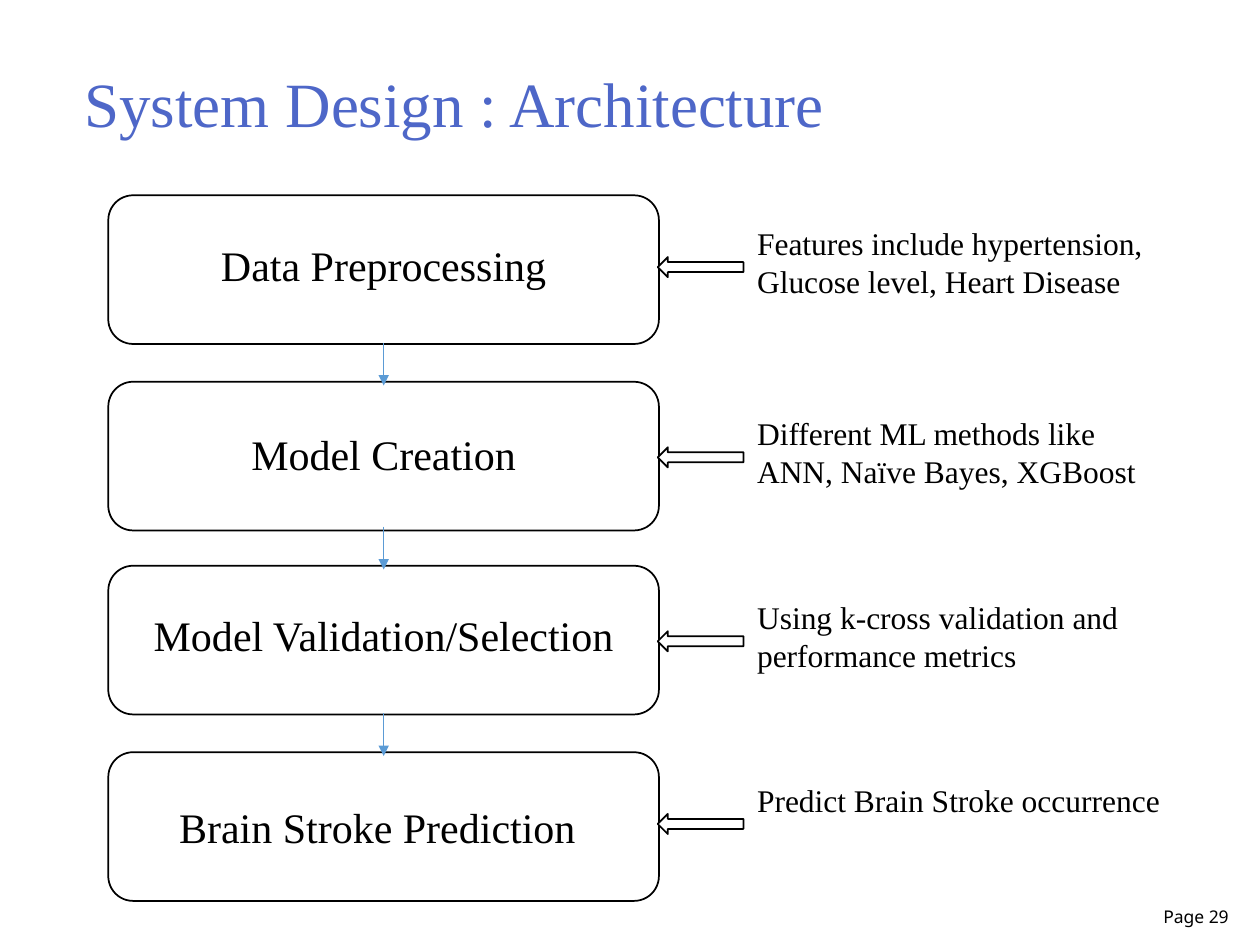
from itertools import pairwise

from lxml import etree
from pptx import Presentation
from pptx.dml.color import RGBColor
from pptx.enum.shapes import MSO_CONNECTOR, MSO_SHAPE
from pptx.enum.text import MSO_ANCHOR, PP_ALIGN
from pptx.oxml.ns import qn
from pptx.util import Inches, Pt

ROUNDED, LEFT_ARROW = MSO_SHAPE.ROUNDED_RECTANGLE, MSO_SHAPE.LEFT_ARROW
STRAIGHT = MSO_CONNECTOR.STRAIGHT
TOP, MIDDLE, BOTTOM = MSO_ANCHOR.TOP, MSO_ANCHOR.MIDDLE, MSO_ANCHOR.BOTTOM
LEFT, CENTER, RIGHT = PP_ALIGN.LEFT, PP_ALIGN.CENTER, PP_ALIGN.RIGHT

COLORS = {"title": "4E67C8", "ink": "000000", "paper": "FFFFFF", "flow": "5B9BD5"}
SERIF, SANS = "Times New Roman", "Noto Sans"

STAGE_LEFT, STAGE_WIDTH, STAGE_HEIGHT = 0.86, 4.37, 1.18
# stage top, label, label shift (right, down), note, note top
STAGES = [
    (1.55, "Data Preprocessing", (0.18, 0.30),
     "Features include hypertension, Glucose level, Heart Disease", 1.73),
    (3.03, "Model Creation", (0.18, 0.32),
     "Different ML methods like ANN, Naïve Bayes, XGBoost", 3.24),
    (4.49, "Model Validation/Selection", (0.18, 0.30),
     "Using k-cross validation and performance metrics", 4.70),
    (5.97, "Brain Stroke Prediction", (0.13, 0.34),
     "Predict Brain Stroke occurrence", 6.15),
]


def color(name):
    return RGBColor.from_string(COLORS[name])


def write(shape, text, size, font=SERIF, ink="ink", align=LEFT, anchor=TOP):
    frame = shape.text_frame
    frame.text = text
    frame.word_wrap = True
    frame.vertical_anchor = anchor
    para = frame.paragraphs[0]
    para.alignment = align
    span = para.runs[0].font
    span.name, span.size = font, Pt(size)
    span.color.rgb = color(ink)


def add_text(page, left, top, width, height, text, size, **style):
    box = page.shapes.add_textbox(*map(Inches, (left, top, width, height)))
    write(box, text, size, **style)


def add_outlined(page, kind, left, top, width, height):
    shape = page.shapes.add_shape(kind, *map(Inches, (left, top, width, height)))
    shape.shadow.inherit = False
    shape.fill.solid()
    shape.fill.fore_color.rgb = color("paper")
    shape.line.color.rgb = color("ink")
    shape.line.width = Pt(1)


def add_title(page, left, top, width, height):
    title = page.shapes.title
    title.left, title.top, title.width, title.height = map(
        Inches, (left, top, width, height))
    write(title, "System Design : Architecture", 36, ink="title", anchor=MIDDLE)


def add_stage(page, left, top, label, shift):
    right, down = shift
    add_outlined(page, ROUNDED, left, top, STAGE_WIDTH, STAGE_HEIGHT)
    add_text(page, left + right, top + down, 4.01, 0.5, label, 24, align=CENTER)


def add_note(page, left, top, text):
    """Place a note with a block arrow pointing back to its stage."""
    add_text(page, left, top, 3.49, 0.71, text, 18)
    add_outlined(page, LEFT_ARROW, left - 0.69, top + 0.31, 0.68, 0.16)


def add_flow(page, center, next_top):
    """Draw the thin arrow that leads down into the stage at next_top."""
    arrow = page.shapes.add_connector(STRAIGHT, *map(
        Inches, (center, next_top - 0.31, center, next_top + 0.03)))
    arrow.line.color.rgb = color("flow")
    arrow.line.width = Pt(0.5)
    etree.SubElement(arrow.line._get_or_add_ln(), qn("a:tailEnd"), type="triangle")
    etree.SubElement(arrow._element.spPr, qn("a:effectLst"))


def main():
    deck = Presentation()
    deck.slide_width, deck.slide_height = Inches(10), Inches(7.5)
    page = deck.slides.add_slide(deck.slide_layouts[5])

    add_title(page, 0.57, 0.09, 8.62, 1.45)
    for top, label, shift, _, _ in STAGES:
        add_stage(page, STAGE_LEFT, top, label, shift)
    for _, following in pairwise(STAGES):
        add_flow(page, STAGE_LEFT + STAGE_WIDTH / 2, following[0])
    for _, _, _, note, note_top in STAGES:
        add_note(page, 5.91, note_top, note)
    add_text(page, 9.09, 7.01, 0.76, 0.4, "Page 29", 10,
             font=SANS, align=RIGHT, anchor=BOTTOM)

    deck.save("out.pptx")


if __name__ == "__main__":
    main()
